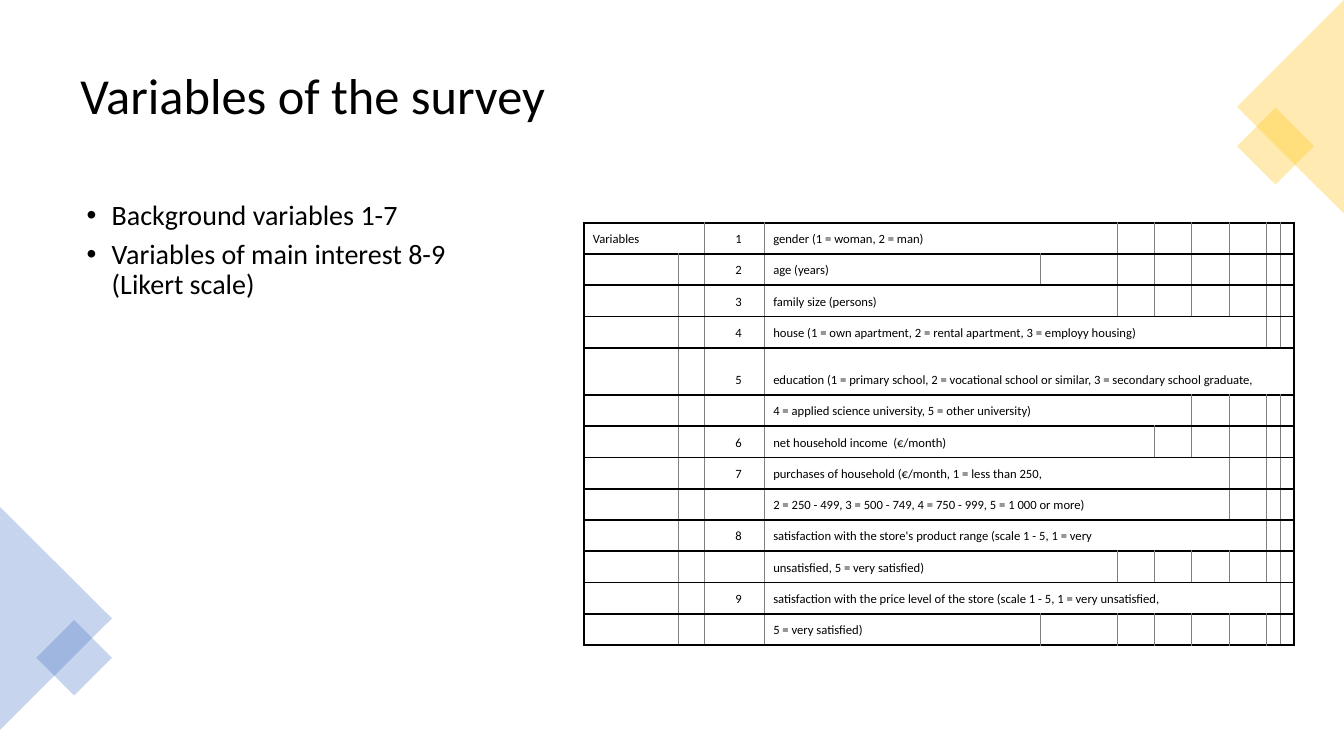
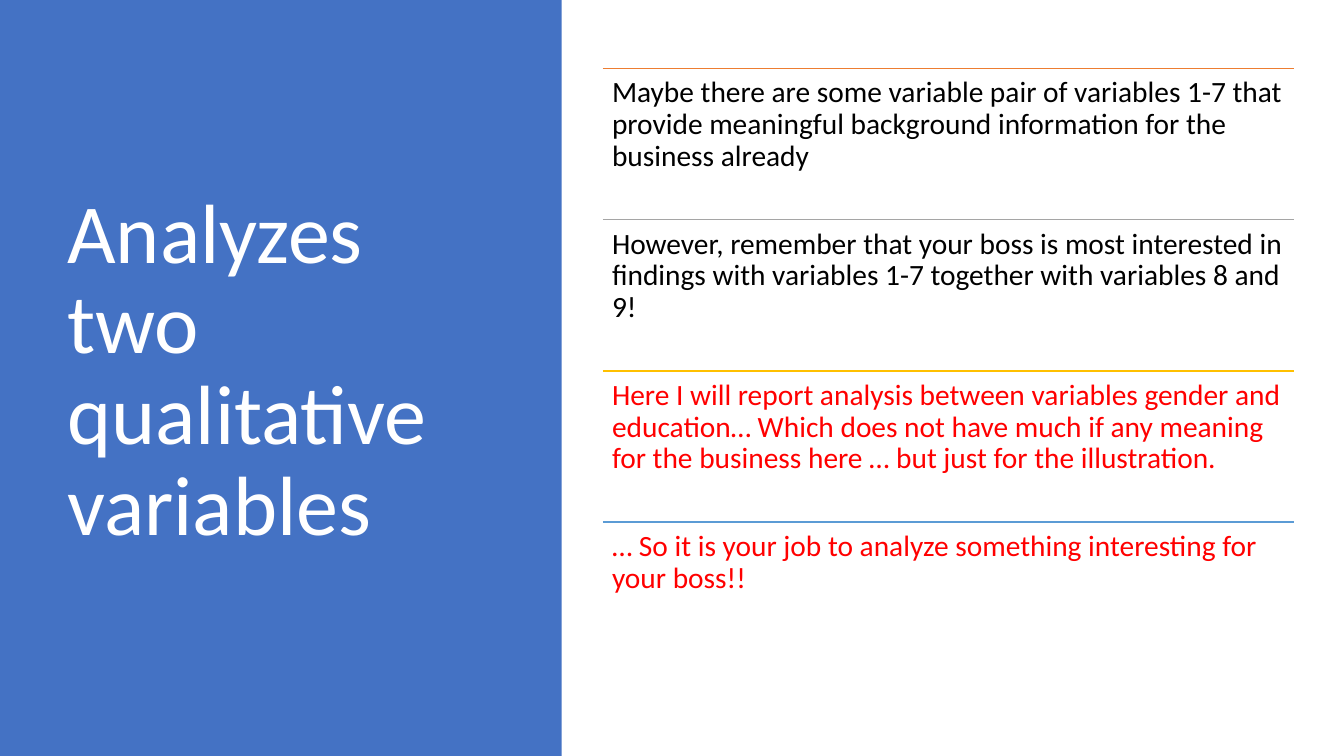
"""Builds two slides on the variables of a customer survey."""
import enum

import lxml.etree
import pptx
import pptx.dml.color
import pptx.enum.shapes
import pptx.enum.text
import pptx.oxml.ns
import pptx.util

Inches, Pt = pptx.util.Inches, pptx.util.Pt
RGB = pptx.dml.color.RGBColor.from_string
qn = pptx.oxml.ns.qn
SHAPE = pptx.enum.shapes.MSO_SHAPE
ANCHOR = pptx.enum.text.MSO_ANCHOR
ALIGN = pptx.enum.text.PP_ALIGN


class Theme:
    font = "Calibri"
    black, white, red, grid = "000000", "FFFFFF", "FF0000", "808080"
    blue, gold, orange, grey, sky = "4472C4", "FFC000", "ED7D31", "A5A5A5", "5B9BD5"
    title, cover, body, point, cell = 36, 60, 20, 21, 9
    alpha = 30000
    thick, thin = 1.5, 0.5


def add_text(slide, box, texts, size, color, anchor=ANCHOR.TOP, inset=None, bullets=False):
    tf = slide.shapes.add_textbox(*map(Inches, box)).text_frame
    tf.word_wrap = True
    tf.vertical_anchor = anchor
    if inset is not None:
        tf.margin_left = tf.margin_right = tf.margin_top = tf.margin_bottom = Inches(inset)
    for i, text in enumerate(texts):
        p = tf.add_paragraph() if i else tf.paragraphs[0]
        p.line_spacing = 0.9
        if bullets:
            p.space_after = Pt(6)
            pPr = p._p.get_or_add_pPr()
            pPr.set("marL", str(Inches(0.31)))
            pPr.set("indent", str(Inches(-0.25)))
            lxml.etree.SubElement(pPr, qn("a:buFont")).set("typeface", "Arial")
            lxml.etree.SubElement(pPr, qn("a:buChar")).set("char", "•")
        r = p.add_run()
        r.text = text
        r.font.name, r.font.size, r.font.color.rgb = Theme.font, Pt(size), RGB(color)


def add_block(slide, kind, box, color, rotation=0, alpha=None):
    sp = slide.shapes.add_shape(kind, *map(Inches, box))
    sp.shadow.inherit = False
    sp.rotation = rotation
    sp.fill.solid()
    sp.fill.fore_color.rgb = RGB(color)
    sp.line.fill.background()
    if alpha:
        clr = sp._element.spPr.find(qn("a:solidFill")).find(qn("a:srgbClr"))
        lxml.etree.SubElement(clr, qn("a:alpha")).set("val", str(alpha))


prs = pptx.Presentation()
prs.slide_width, prs.slide_height = Inches(13.33), Inches(7.5)
blank = prs.slide_layouts[6]

s = prs.slides.add_slide(blank)
add_text(s, (0.7, 0.35, 11.93, 1.24), ["Variables of the survey"],
         Theme.title, Theme.black, ANCHOR.MIDDLE)
add_text(s, (0.7, 1.95, 4.38, 4.81),
         ["Background variables 1-7", "Variables of main interest 8-9 (Likert scale)"],
         Theme.body, Theme.black, bullets=True)
for kind, box, rotation, color in (
    (SHAPE.ISOSCELES_TRIANGLE, (-0.55, 5.58, 2.21, 1.11), 90, Theme.blue),
    (SHAPE.RECTANGLE, (0.47, 6.26, 0.53, 0.53), 45, Theme.blue),
    (SHAPE.RECTANGLE, (12.38, 1.18, 0.54, 0.54), 45, Theme.gold),
    (SHAPE.ISOSCELES_TRIANGLE, (11.74, 0.53, 2.12, 1.06), 270, Theme.gold),
):
    add_block(s, kind, box, color, rotation, Theme.alpha)

variables = [
    ("1", "gender (1 = woman, 2 = man)", 2),
    ("2", "age (years)", 1),
    ("3", "family size (persons)", 2),
    ("4", "house (1 = own apartment, 2 = rental apartment, 3 = employy housing)", 6),
    ("5", "education (1 = primary school, 2 = vocational school or similar, "
          "3 = secondary school graduate,", 8),
    ("", "4 = applied science university, 5 = other university)", 4),
    ("6", "net household income  (€/month)", 3),
    ("7", "purchases of household (€/month, 1 = less than 250,", 5),
    ("", "2 = 250 - 499, 3 = 500 - 749, 4 = 750 - 999, 5 = 1 000 or more)", 5),
    ("8", "satisfaction with the store's product range (scale 1 - 5, 1 = very", 6),
    ("", "unsatisfied, 5 = very satisfied)", 2),
    ("9", "satisfaction with the price level of the store (scale 1 - 5, 1 = very unsatisfied,", 7),
    ("", "5 = very satisfied)", 1),
]
widths = [0.94, 0.26, 0.59, 2.74, 0.76] + [0.37] * 4 + [0.12] * 2
number_col, text_col, last_col = 2, 3, len(widths) - 1
table = s.shapes.add_table(len(variables), len(widths), Inches(5.79), Inches(2.21),
                           Inches(7.01), Inches(4.25)).table
table.first_row = table.horz_banding = False
for column, width in zip(table.columns, widths):
    column.width = Inches(width)
for row, (number, label, span) in enumerate(variables):
    table.rows[row].height = Inches(0.47 if number == "5" else 0.31)
    end_col = text_col + span - 1
    texts = {0: "" if row else "Variables", number_col: number, text_col: label}
    for col in range(len(widths)):
        cell = table.cell(row, col)
        cell.vertical_anchor = ANCHOR.BOTTOM
        cell.margin_left, cell.margin_right = Inches(0.09), Inches(0.01)
        cell.margin_top = cell.margin_bottom = Inches(0.07)
        cell.fill.background()
        p = cell.text_frame.paragraphs[0]
        if col == number_col:
            p.alignment = ALIGN.CENTER
        if texts.get(col):
            r = p.add_run()
            r.text = texts[col]
            r.font.name, r.font.size = Theme.font, Pt(Theme.cell)
            r.font.color.rgb = RGB(Theme.black)
        else:
            end = lxml.etree.SubElement(p._p, qn("a:endParaRPr"))
            end.set("sz", str(Theme.cell * 100))
        at_right = col == last_col or (col == text_col and end_col == last_col)
        edges = (("a:lnL", col == 0), ("a:lnR", at_right), ("a:lnT", True), ("a:lnB", True))
        tcPr = cell._tc.get_or_add_tcPr()
        for i, (tag, strong) in enumerate(edges):
            ln = lxml.etree.Element(qn(tag), w=str(Pt(Theme.thick if strong else Theme.thin)))
            fill = lxml.etree.SubElement(ln, qn("a:solidFill"))
            clr = lxml.etree.SubElement(fill, qn("a:srgbClr"))
            clr.set("val", Theme.black if strong else Theme.grid)
            tcPr.insert(i, ln)
    if span > 1:
        table.cell(row, text_col).merge(table.cell(row, end_col))
table.cell(0, 0).merge(table.cell(0, 1))

s = prs.slides.add_slide(blank)
add_block(s, SHAPE.RECTANGLE, (0, 0, 5.57, 7.5), Theme.blue)
add_text(s, (0.57, 0.68, 4.16, 6.02), ["Analyzes two qualitative variables"],
         Theme.cover, Theme.white, ANCHOR.MIDDLE)
points = [
    (Theme.orange, Theme.black, "Maybe there are some variable pair of variables 1-7 that provide "
     "meaningful background information for the business already"),
    (Theme.grey, Theme.black, "However, remember that your boss is most interested in findings "
     "with variables 1-7 together with variables 8 and 9!"),
    (Theme.gold, Theme.red, "Here I will report analysis between variables gender and education… "
     "Which does not have much if any meaning for the business here … "
     "but just for the illustration."),
    (Theme.sky, Theme.red, "… So it is your job to analyze something interesting for your boss!!"),
]
left, top, width, pitch = 5.98, 0.68, 6.85, 1.5
for i, (rule_color, text_color, text) in enumerate(points):
    y = top + i * pitch
    rule = s.shapes.add_connector(pptx.enum.shapes.MSO_CONNECTOR.STRAIGHT, Inches(left),
                                  Inches(y), Inches(left + width), Inches(y))
    rule.line.color.rgb, rule.line.width = RGB(rule_color), Pt(1)
    lxml.etree.SubElement(rule._element.spPr, qn("a:effectLst"))
    add_text(s, (left, y, width, pitch), [text], Theme.point, text_color, inset=0.09)

prs.save("out.pptx")
